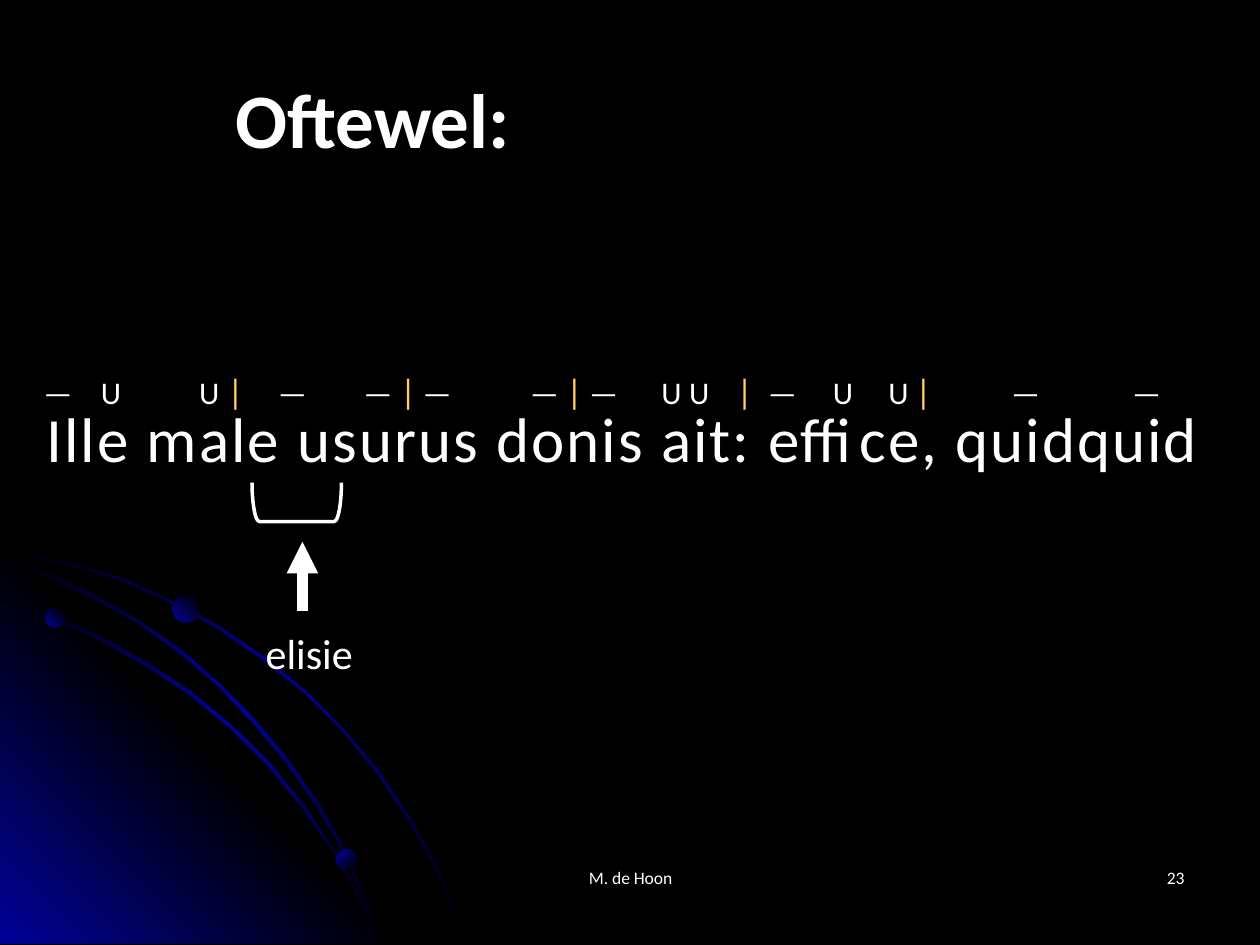
import pptx
import pptx.dml.color
import pptx.enum.shapes
import pptx.enum.text
import pptx.oxml.ns
import pptx.util
from lxml import etree

Inches = pptx.util.Inches
Pt = pptx.util.Pt
qn = pptx.oxml.ns.qn
Shape = pptx.enum.shapes.MSO_SHAPE
Align = pptx.enum.text.PP_ALIGN
WHITE, GOLD, BLUE, BLACK = "FFFFFF", "FFCC66", "010199", "000000"
FADE = [(0, BLACK), (50, BLUE), (100, BLACK)]
GLOW = [(0, BLUE), (50, BLACK), (100, BLUE)]
BALL = [(0, BLUE), (100, BLACK)]

ARCS = [
    [(57, 447), (28, 441), (0, 435), (0, 438), (28, 443), (56, 449), (97, 461),
     (135, 478), (173, 499), (208, 523), (241, 549), (271, 579), (298, 612),
     (323, 649), (337, 673), (350, 698), (360, 723), (370, 749), (372, 749),
     (362, 723), (352, 698), (339, 673), (325, 648), (300, 611), (272, 578),
     (242, 548), (209, 521), (174, 497), (136, 477), (98, 459)],
    [(285, 714), (294, 732), (301, 749), (303, 749), (296, 730), (286, 712),
     (266, 676), (242, 640), (215, 606), (184, 576), (152, 549), (117, 526),
     (79, 505), (41, 488), (0, 475), (0, 477), (39, 490), (77, 507),
     (115, 528), (150, 551), (183, 578), (213, 608), (240, 641), (265, 677)],
    [(0, 442), (0, 444), (36, 457), (74, 475), (109, 494), (142, 518),
     (173, 544), (202, 575), (227, 605), (252, 641), (267, 667), (280, 694),
     (292, 722), (301, 749), (303, 749), (294, 720), (282, 693), (269, 665),
     (254, 639), (229, 603), (204, 573), (175, 543), (144, 516), (111, 493),
     (76, 473), (39, 455)],
]
WEDGE = [(322, 749), (0, 749), (0, 427)]
BALLS = [(0.36, 4.83, 0.15, 315), (2.67, 6.74, 0.16, 45), (1.37, 4.73, 0.21, 315)]
MARKS = [
    ("—", 0.46), ("U", 0.88), ("U", 1.66), ("|", 1.87), ("—", 2.32),
    ("—", 3.0), ("|", 3.24), ("—", 3.47), ("—", 4.32), ("|", 4.56),
    ("—", 4.79), ("U", 5.33), ("U", 5.55), ("|", 5.91), ("—", 6.21),
    ("U", 6.69), ("U", 7.13), ("|", 7.33), ("—", 8.14), ("—", 9.1),
]


def hue(code):
    return pptx.dml.color.RGBColor.from_string(code)


def add_run(para, text, size, code=WHITE, bold=False):
    run = para.add_run()
    run.text = text
    look = {"name": "Calibri", "size": Pt(size), "bold": bold}
    for key, value in look.items():
        setattr(run.font, key, value)
    run.font.color.rgb = hue(code)
    return run


def set_frame(frame, align=Align.LEFT, wrap=True):
    look = {
        "word_wrap": wrap,
        "auto_size": pptx.enum.text.MSO_AUTO_SIZE.NONE,
        "vertical_anchor": pptx.enum.text.MSO_ANCHOR.TOP,
    }
    for key, value in look.items():
        setattr(frame, key, value)
    para = frame.paragraphs[0]
    para.alignment = align
    return para


def add_label(slide, box, text, size, align=Align.LEFT, wrap=True):
    frame = slide.shapes.add_textbox(*map(Inches, box)).text_frame
    return add_run(set_frame(frame, align, wrap), text, size)


def add_title(slide, box, text):
    title = slide.shapes.title
    for key, value in zip(("left", "top", "width", "height"), box):
        setattr(title, key, Inches(value))
    add_run(set_frame(title.text_frame), text, 44, bold=True)


def add_marks(slide, left, top, width, height):
    box = slide.shapes.add_textbox(*map(Inches, (left, top, width, height)))
    box.text_frame.margin_left = 0
    para = set_frame(box.text_frame)
    tabs = etree.SubElement(para._p.get_or_add_pPr(), qn("a:tabLst"))
    for mark, x in MARKS:
        etree.SubElement(tabs, qn("a:tab"), pos=str(Inches(x - left)), algn="ctr")
        size, code = (20, GOLD) if mark == "|" else (18, WHITE)
        add_run(para, "\t" + mark, size, code)


def blend(shape, stops, angle):
    shape.shadow.inherit = False
    shape.line.fill.background()
    shape.fill.gradient()
    shape.fill.gradient_angle = 360 - angle
    group = next(shape._element.iter(qn("a:gsLst")))
    for stop in list(group):
        group.remove(stop)
    for place, code in stops:
        stop = etree.SubElement(group, qn("a:gs"), pos=str(place * 1000))
        etree.SubElement(stop, qn("a:srgbClr"), val=code)


def add_curve(slide, points, stops, angle):
    pen = slide.shapes.build_freeform(*points[0], scale=Inches(0.01))
    pen.add_line_segments(points[1:], close=True)
    blend(pen.convert_to_shape(), stops, angle)


def add_ball(slide, left, top, size, angle):
    box = map(Inches, (left, top, size, size))
    blend(slide.shapes.add_shape(Shape.OVAL, *box), BALL, angle)


def add_brace(slide, box):
    brace = slide.shapes.add_shape(Shape.RIGHT_BRACKET, *map(Inches, box))
    brace.rotation = 90
    brace.adjustments[0] = 0.19
    brace.shadow.inherit = False
    brace.fill.background()
    brace.line.color.rgb = hue(WHITE)
    brace.line.width = Pt(2)


def add_arrow(slide, ends):
    kind = pptx.enum.shapes.MSO_CONNECTOR.STRAIGHT
    arrow = slide.shapes.add_connector(kind, *map(Inches, ends))
    arrow.line.color.rgb = hue(WHITE)
    arrow.line.width = Pt(6)
    etree.SubElement(arrow.line._get_or_add_ln(), qn("a:tailEnd"), type="triangle")
    etree.SubElement(arrow._element.spPr, qn("a:effectLst"))


def main():
    deck = pptx.Presentation()
    deck.slide_width, deck.slide_height = Inches(10), Inches(7.5)
    slide = deck.slides.add_slide(deck.slide_layouts[5])
    slide.background.fill.solid()
    slide.background.fill.fore_color.rgb = hue(BLACK)

    add_curve(slide, ARCS[0], FADE, 45)
    add_curve(slide, WEDGE, GLOW, 315)
    for arc in ARCS[1:]:
        add_curve(slide, arc, FADE, 45)
    for ball in BALLS:
        add_ball(slide, *ball)

    add_label(slide, (3.42, 6.83, 3.17, 0.5), "M. de Hoon", 10, Align.CENTER)
    add_label(slide, (7.17, 6.83, 2.33, 0.5), "23", 10, Align.RIGHT)
    verse = add_label(slide, (0.27, 3.12, 9.46, 0.71),
                      "Ille male usurus donis ait: effice, quidquid", 36, wrap=False)
    verse.font._element.set("spc", "120")
    add_marks(slide, 0.2, 2.88, 9.53, 0.43)
    add_brace(slide, (2.2, 3.63, 0.31, 0.71))
    add_arrow(slide, (2.4, 4.85, 2.4, 4.3))
    add_label(slide, (2.01, 4.93, 0.95, 0.5), "elisie", 24)
    add_title(slide, (1.77, 0.52, 5.99, 0.83), "Oftewel:")
    deck.save("out.pptx")


if __name__ == "__main__":
    main()
